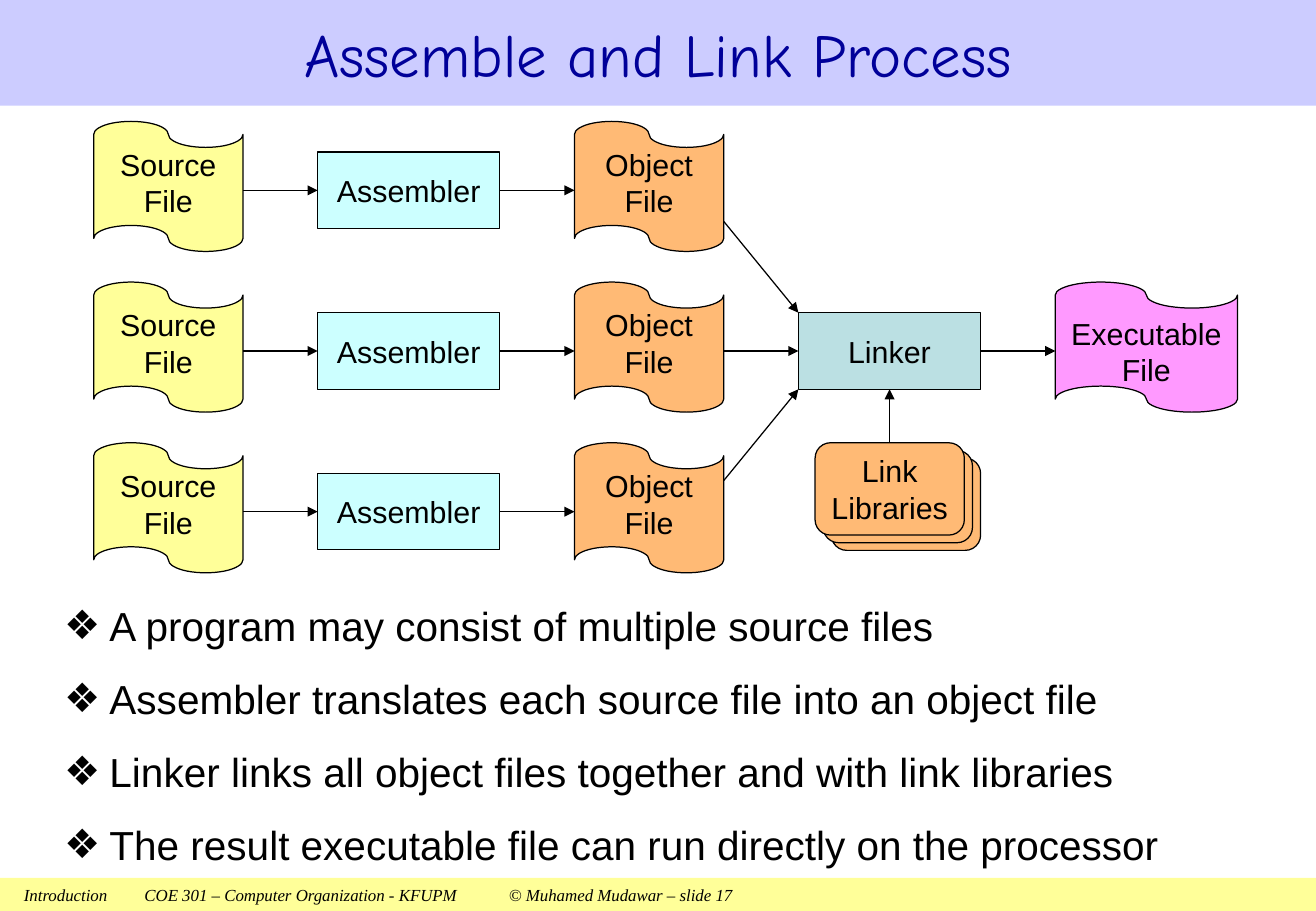
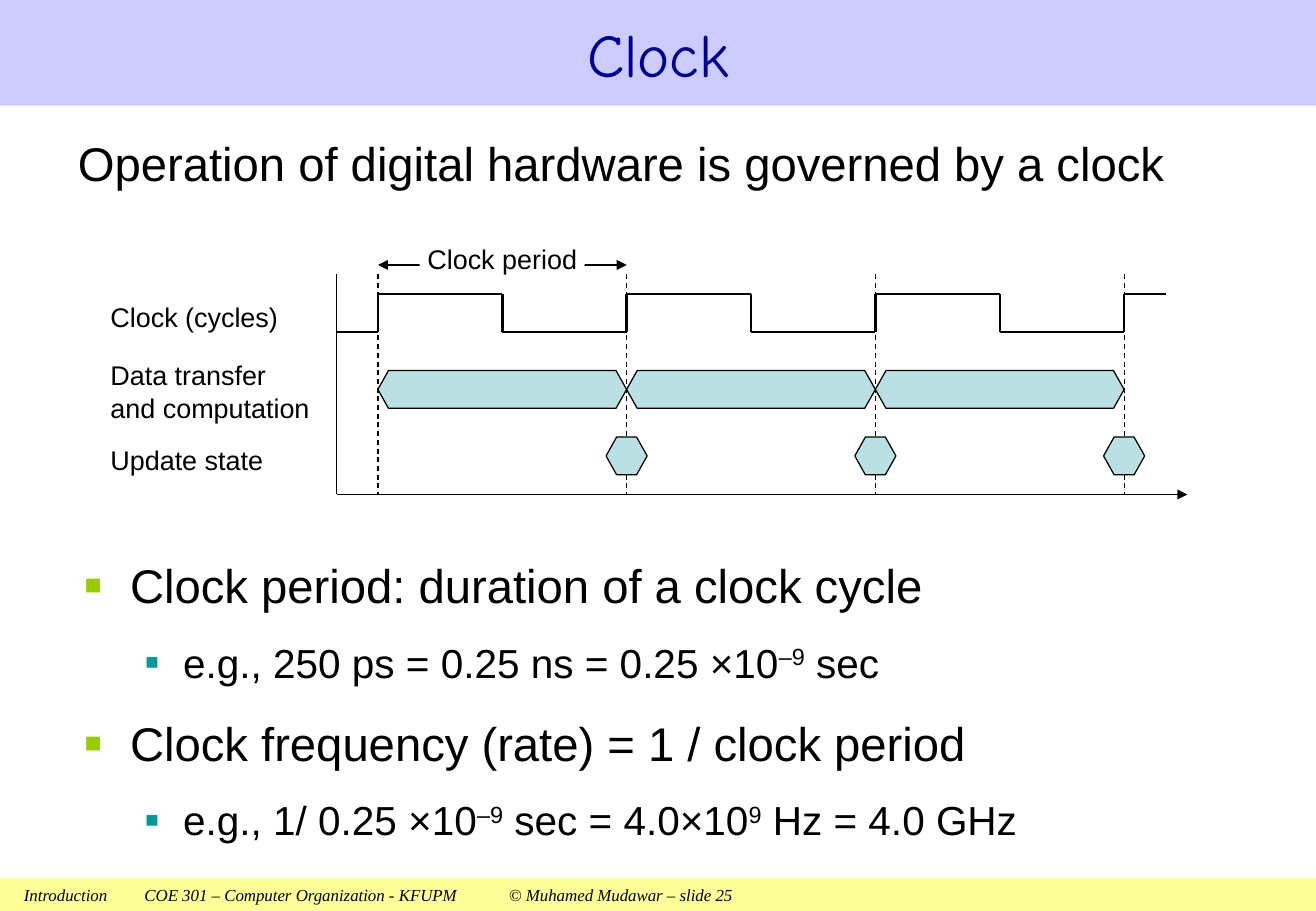
from dataclasses import dataclass
from itertools import pairwise
from typing import NamedTuple

from pptx import Presentation, util as u
from pptx.dml.color import RGBColor
from pptx.enum import dml, shapes, text
from pptx.oxml.ns import qn
from lxml import etree

SLIDE_WIDTH, SLIDE_HEIGHT = 27.51, 19.05
BLACK, WHITE, NAVY = "000000", "FFFFFF", "000099"
LAVENDER, YELLOW, AQUA = "CCCCFF", "FFFF99", "CCFFFF"
ORANGE, TEAL, PINK = "FFBA75", "BBE0E3", "FF99FF"
BODY_FONT, TITLE_FONT, FOOTER_FONT = "Arial", "Comic Neue", "Times New Roman"
CENTER, LEFT = text.PP_ALIGN.CENTER, text.PP_ALIGN.LEFT
SHAPE = shapes.MSO_SHAPE


class Box(NamedTuple):
    """Left, top, width and height in centimetres."""
    x: float
    y: float
    w: float
    h: float

    def lengths(self) -> list[u.Length]:
        return [u.Cm(value) for value in self]


@dataclass(frozen=True)
class Style:
    size: float
    color: str = BLACK
    font: str = BODY_FONT
    italic: bool = False
    align: text.PP_ALIGN = CENTER


@dataclass(frozen=True)
class BulletStyle:
    size: float
    char: str
    margin: float
    hanging: float
    level: int = 0
    color: str = BLACK
    percent: int = 100


class Bullet(NamedTuple):
    """Every second run is a superscript."""
    style: BulletStyle
    runs: tuple[str, ...]


TITLE = Style(36, NAVY, TITLE_FONT)
FOOTER = Style(10, font=FOOTER_FONT, italic=True, align=LEFT)
HEADING = Style(28, align=LEFT)
NODE = Style(18)
ROW_LABEL = Style(16, align=LEFT)
PERIOD_LABEL = Style(16)

DIAMOND = BulletStyle(24, "❖", 0.95, 0.95)
TOPIC = BulletStyle(28, "■", 0.95, 0.95, color="99CC00", percent=60)
EXAMPLE = BulletStyle(24, "■", 2.06, 0.79, 1, "009999", 55)


def rgb(value: str) -> RGBColor:
    return RGBColor.from_string(value)


def add_xml(parent, tag: str, **attributes: str):
    return etree.SubElement(parent, qn(tag), attributes)


def style_run(run, style: Style) -> None:
    run.font.size = u.Pt(style.size)
    run.font.name = style.font
    run.font.italic = style.italic
    run.font.color.rgb = rgb(style.color)


def write(shape, content: str, style: Style, left_inset: float = 0) -> None:
    frame = shape.text_frame
    frame.word_wrap = True
    frame.vertical_anchor = text.MSO_ANCHOR.MIDDLE
    frame.margin_left = u.Cm(left_inset)
    frame.margin_right = frame.margin_top = frame.margin_bottom = 0
    frame.text = content
    for paragraph in frame.paragraphs:
        paragraph.alignment = style.align
        for run in paragraph.runs:
            style_run(run, style)


def add_label(slide, box: Box, content: str, style: Style):
    label = slide.shapes.add_textbox(*box.lengths())
    write(label, content, style)
    return label


def add_block(slide, kind: SHAPE, box: Box, fill: str, outlined: bool = True):
    block = slide.shapes.add_shape(kind, *box.lengths())
    block.shadow.inherit = False
    block.fill.solid()
    block.fill.fore_color.rgb = rgb(fill)
    if outlined:
        block.line.color.rgb = rgb(BLACK)
        block.line.width = u.Pt(0.75)
    else:
        block.line.fill.background()
    return block


def add_line(slide, start: tuple[float, float], end: tuple[float, float],
             width: float = 0.75, head: bool = False, tail: bool = False,
             dashed: bool = False) -> None:
    line = slide.shapes.add_connector(
        shapes.MSO_CONNECTOR.STRAIGHT, *(u.Cm(value) for value in start + end))
    line.line.color.rgb = rgb(BLACK)
    line.line.width = u.Pt(width)
    if dashed:
        line.line.dash_style = dml.MSO_LINE.DASH
    properties = line.line._get_or_add_ln()
    if head:
        add_xml(properties, "a:headEnd", type="triangle")
    if tail:
        add_xml(properties, "a:tailEnd", type="triangle")
    add_xml(line._element.spPr, "a:effectLst")


def add_bullets(slide, box: Box, bullets: list[Bullet]) -> None:
    frame = slide.shapes.add_textbox(*box.lengths()).text_frame
    frame.word_wrap = True
    for index, (style, runs) in enumerate(bullets):
        paragraph = frame.add_paragraph() if index else frame.paragraphs[0]
        paragraph.level = style.level
        paragraph.line_spacing = 1.5
        properties = paragraph._p.get_or_add_pPr()
        properties.set("marL", str(u.Cm(style.margin)))
        properties.set("indent", str(-u.Cm(style.hanging)))
        color = add_xml(properties, "a:buClr")
        add_xml(color, "a:srgbClr", val=style.color)
        add_xml(properties, "a:buSzPct", val=str(style.percent * 1000))
        add_xml(properties, "a:buFont", typeface=BODY_FONT)
        add_xml(properties, "a:buChar", char=style.char)
        for position, content in enumerate(runs):
            run = paragraph.add_run()
            run.text = content
            style_run(run, Style(style.size))
            if position % 2:
                run.font._element.set("baseline", "30000")


def add_base_slide(presentation, title: str, number: int):
    """Add a slide with the title band and the footer band."""
    slide = presentation.slides.add_slide(presentation.slide_layouts[6])
    footer = add_block(slide, SHAPE.RECTANGLE,
                       Box(0, 18.36, SLIDE_WIDTH, 0.69), YELLOW, outlined=False)
    write(footer, "Introduction\tCOE 301 – Computer Organization - KFUPM"
          f"\t© Muhamed Mudawar – slide {number}", FOOTER, left_inset=0.5)
    tabs = add_xml(footer.text_frame.paragraphs[0]._p.get_or_add_pPr(), "a:tabLst")
    for position in (2.52, 10.14):
        add_xml(tabs, "a:tab", pos=str(u.Cm(position)), algn="l")
    band = add_block(slide, SHAPE.RECTANGLE,
                     Box(0, 0, SLIDE_WIDTH, 2.21), LAVENDER, outlined=False)
    write(band, title, TITLE)
    return slide


def add_file(slide, x: float, middle: float, width: float, fill: str,
             content: str, text_shift: float = -0.17) -> None:
    """Add a punched tape with its label; the tape is flipped, the label is not."""
    tape = add_block(slide, SHAPE.FLOWCHART_PUNCHED_TAPE,
                     Box(x, middle - 1.44, width, 2.72), fill)
    tape._element.spPr.xfrm.set("flipV", "1")
    add_label(slide, Box(x, middle - 0.63 + text_shift, width, 1.27), content, NODE)


def add_process(slide, x: float, middle: float, width: float, fill: str,
                content: str) -> None:
    process = add_block(slide, SHAPE.RECTANGLE,
                        Box(x, middle - 0.8, width, 1.6), fill)
    write(process, content, NODE)


def build_link_slide(presentation) -> None:
    slide = add_base_slide(presentation, "Assemble and Link Process", 17)
    file_width, process_width, gap = 3.12, 3.81, 1.56
    source_x = 1.96
    assembler_x = source_x + file_width + gap
    object_x = assembler_x + process_width + gap
    linker_x = object_x + file_width + gap
    executable_x = linker_x + process_width + gap
    rows = [3.98 + 3.36 * row for row in range(3)]
    center = rows[1]

    for middle in rows:
        add_file(slide, source_x, middle, file_width, YELLOW, "Source\nFile")
        add_process(slide, assembler_x, middle, process_width, AQUA, "Assembler")
        add_file(slide, object_x, middle, file_width, ORANGE, "Object\nFile")
        for target_x in (assembler_x, object_x):
            add_line(slide, (target_x - gap, middle), (target_x, middle), tail=True)

    add_process(slide, linker_x, center, process_width, TEAL, "Linker")
    add_file(slide, executable_x, center, process_width, PINK,
             "Executable\nFile", text_shift=0)
    add_line(slide, (executable_x - gap, center), (executable_x, center), tail=True)
    for start_y, end_y in ((rows[0] + 0.65, center - 0.8), (center, center),
                           (rows[2] - 0.65, center + 0.8)):
        add_line(slide, (linker_x - gap, start_y), (linker_x, end_y), tail=True)

    libraries_y = rows[2] - 1.44
    for layer in (2, 1, 0):
        library = add_block(
            slide, SHAPE.ROUNDED_RECTANGLE,
            Box(17.04 + 0.17 * layer, libraries_y + 0.16 * layer, file_width, 1.93),
            ORANGE)
    write(library, "Link\nLibraries", NODE)
    linker_middle = linker_x + process_width / 2
    add_line(slide, (linker_middle, libraries_y), (linker_middle, center + 0.8),
             tail=True)

    add_bullets(slide, Box(1.09, 11.94, 25.58, 6.4), [
        Bullet(DIAMOND, (line,)) for line in (
            "A program may consist of multiple source files",
            "Assembler translates each source file into an object file",
            "Linker links all object files together and with link libraries",
            "The result executable file can run directly on the processor")])


def add_hexagon(slide, box: Box) -> None:
    add_block(slide, SHAPE.HEXAGON, box, TEAL).adjustments[0] = 0.28


def build_clock_slide(presentation) -> None:
    slide = add_base_slide(presentation, "Clock", 25)
    add_label(slide, Box(1.63, 2.8, 25, 1.2),
              "Operation of digital hardware is governed by a clock", HEADING)
    add_bullets(slide, Box(1.52, 10.92, 24.64, 7.24), [
        Bullet(TOPIC, ("Clock period: duration of a clock cycle",)),
        Bullet(EXAMPLE, ("e.g., 250 ps = 0.25 ns = 0.25 ×10", "–9", " sec")),
        Bullet(TOPIC, ("Clock frequency (rate) = 1 / clock period",)),
        Bullet(EXAMPLE, ("e.g., 1/ 0.25 ×10", "–9", " sec = 4.0×10", "9",
                         " Hz = 4.0 GHz"))])

    axis_x, axis_y, chart_top = 7.04, 10.34, 5.74
    high, low = 6.15, 6.94
    period, hexagon_height = 5.2, 0.79
    edges = [7.9 + period * cycle for cycle in range(4)]

    add_line(slide, (edges[0], 5.54), (edges[1], 5.54), head=True, tail=True)
    for edge in edges:
        add_line(slide, (edge, chart_top), (edge, axis_y), dashed=True)

    wave = [(axis_x, low)]
    for edge in edges:
        fall = edge + period / 2
        wave += [(edge, low), (edge, high), (fall, high), (fall, low)]
    wave[-2:] = [(24.38, high)]
    for start, end in pairwise(wave):
        add_line(slide, start, end, width=1.5)

    for start, end in pairwise(edges):
        add_hexagon(slide, Box(start, 7.75, period, hexagon_height))
        add_hexagon(slide, Box(end - 0.43, 9.14, 0.86, hexagon_height))

    add_line(slide, (axis_x, axis_y), (24.82, axis_y), tail=True)
    add_line(slide, (axis_x, axis_y), (axis_x, chart_top))

    for content, y, height in (("Clock (cycles)", 6.15, 0.94),
                               ("Data transfer\vand computation", 7.37, 1.63),
                               ("Update state", 9.14, 0.94)):
        add_label(slide, Box(2.31, y, 4.6, height), content, ROW_LABEL)
    label_width = 3.45
    period_label = add_label(
        slide, Box(edges[0] + (period - label_width) / 2, 4.95, label_width, 0.94),
        "Clock period", PERIOD_LABEL)
    period_label.fill.solid()
    period_label.fill.fore_color.rgb = rgb(WHITE)


def main() -> None:
    presentation = Presentation()
    presentation.slide_width = u.Cm(SLIDE_WIDTH)
    presentation.slide_height = u.Cm(SLIDE_HEIGHT)
    build_link_slide(presentation)
    build_clock_slide(presentation)
    presentation.save("out.pptx")


if __name__ == "__main__":
    main()
